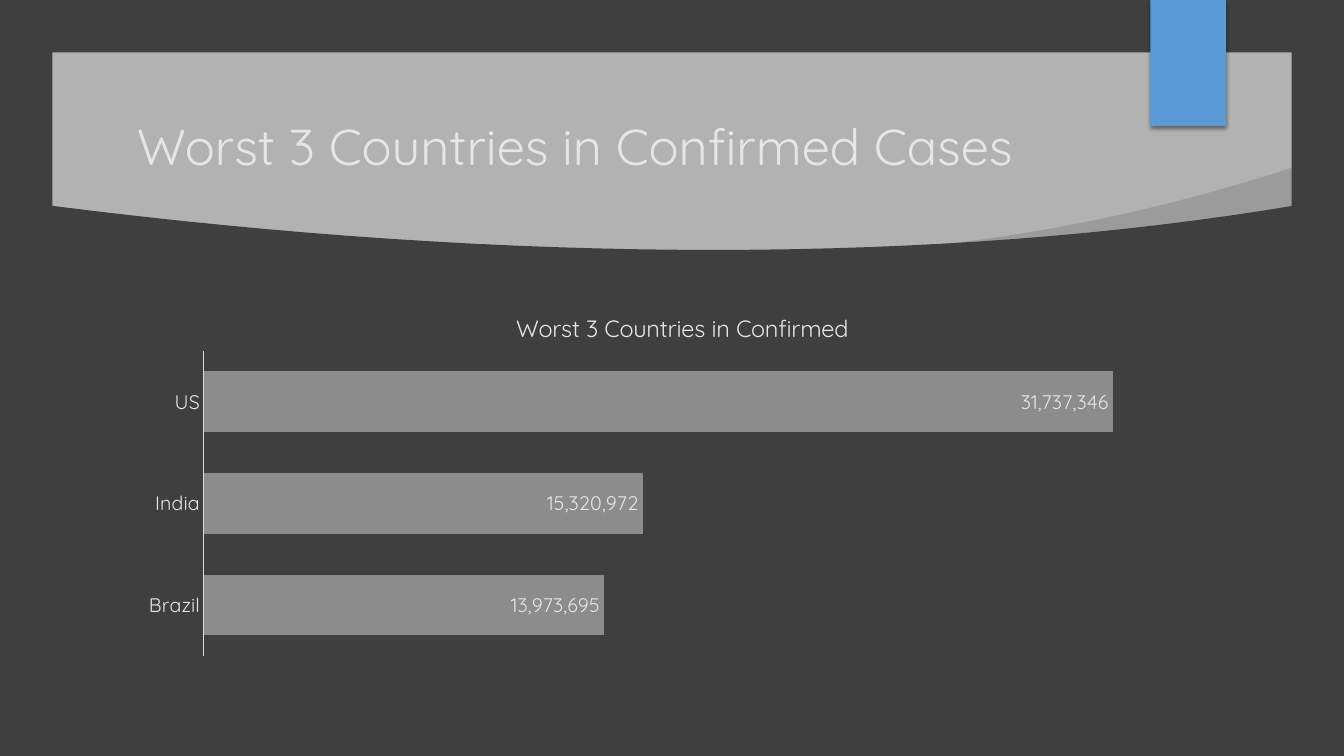
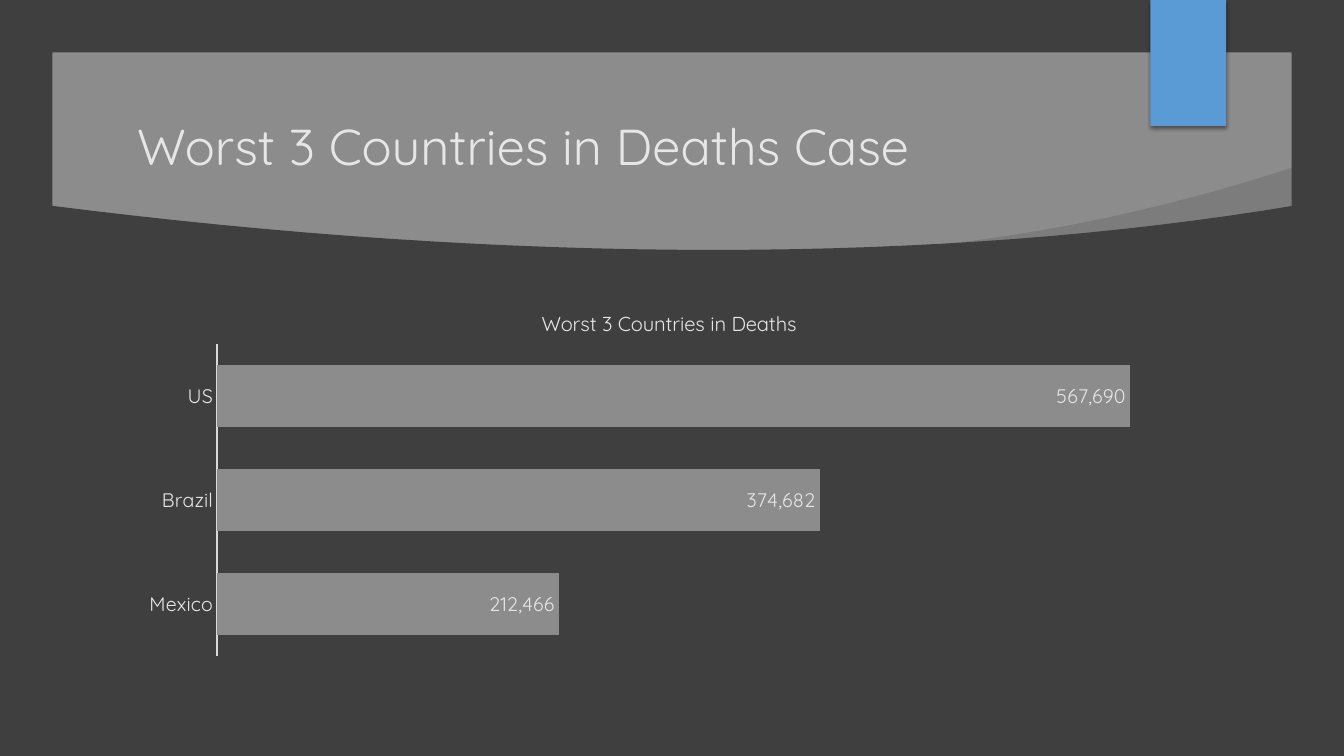
from dataclasses import dataclass

from lxml import etree
from pptx import Presentation
from pptx import util as u
from pptx.chart import data as chart_data
from pptx.dml import color
from pptx.enum import chart as chart_enum
from pptx.enum import shapes, text
from pptx.oxml import ns


@dataclass(frozen=True)
class Theme:
    font: str = "Quicksand"
    dark: str = "3F3F3F"
    accent: str = "5B9BD5"
    light: str = "E7E6E6"
    axis: str = "D9D9D9"
    bar: str = "8C8C8C"
    title_size: float = 36
    label_size: float = 14
    border: float = 37.4


@dataclass(frozen=True)
class CountrySlide:
    title: str
    band_color: str
    chart_title: str
    chart_title_size: float
    chart_title_at: tuple
    chart_width: float
    plot_box: tuple
    axis_maximum: int
    cases: dict


THEME = Theme()
SLIDE_SIZE = (960, 540)
CHART_LEFT, CHART_TOP, CHART_HEIGHT = 90.7, 205.2, 269.3

COUNTRY_SLIDES = [
    CountrySlide(
        "Worst 3 Countries in Confirmed Cases", "B2B2B2",
        "Worst 3 Countries in Confirmed", 16.8, (275, 14.4),
        786.2, (55, 45.5, 716, 218), 35000000,
        {"Brazil": 13973695, "India": 15320972, "US": 31737346},
    ),
    CountrySlide(
        "Worst 3 Countries in Deaths Case", "8C8C8C",
        "Worst 3 Countries in Deaths", 14.4, (293.6, 13),
        769, (64.3, 40.5, 689.3, 223), 600000,
        {"Mexico": 212466, "Brazil": 374682, "US": 567690},
    ),
]


def rgb(value):
    return color.RGBColor.from_string(value)


def points(*lengths):
    return [u.Pt(length) for length in lengths]


def add_element(parent, tag, **attributes):
    return etree.SubElement(
        parent, ns.qn(tag), {key: str(value) for key, value in attributes.items()}
    )


def paint(shape, fill, opacity=100):
    shape.shadow.inherit = False
    shape.fill.solid()
    shape.fill.fore_color.rgb = rgb(fill)
    shape.line.fill.background()
    if opacity < 100:
        fill_color = shape.element.find(".//" + ns.qn("a:srgbClr"))
        add_element(fill_color, "a:alpha", val=opacity * 1000)
    return shape


def set_font(font, size):
    font.name = THEME.font
    font.size = u.Pt(size)
    font.bold = False
    font.color.rgb = rgb(THEME.light)


def curve(start, first, second, end, steps=32):
    result = []
    for step in range(steps + 1):
        t = step / steps
        weights = ((1 - t) ** 3, 3 * t * (1 - t) ** 2, 3 * t * t * (1 - t), t ** 3)
        result.append(tuple(
            sum(weight * value for weight, value in zip(weights, values))
            for values in zip(start, first, second, end)
        ))
    return result


def add_outline(slide, corners, fill, opacity=100):
    start, *others = [tuple(points(*corner)) for corner in corners]
    builder = slide.shapes.build_freeform(*start, scale=1.0)
    builder.add_line_segments(others, close=True)
    return paint(builder.convert_to_shape(), fill, opacity)


def add_box(slide, kind, box, fill):
    return paint(slide.shapes.add_shape(kind, *points(*box)), fill)


def add_drop_shadow(shape):
    effects = shape.element.spPr.find(ns.qn("a:effectLst"))
    shadow = add_element(
        effects, "a:outerShdw", blurRad=u.Pt(3), dist=u.Pt(2),
        dir=90 * 60000, rotWithShape=0,
    )
    shadow_color = add_element(shadow, "a:srgbClr", val="000000")
    add_element(shadow_color, "a:alpha", val=45000)


def build_backdrop(layout, slide):
    for placeholder in list(layout.placeholders):
        if placeholder.placeholder_format.idx != 0:
            placeholder.element.getparent().remove(placeholder.element)
    sweep = add_outline(
        slide,
        curve((669.6, 175), (756, 165.6), (842.4, 146.2), (923.8, 119.5))
        + [(923.8, 154.1), (672.5, 180)],
        THEME.dark, 20,
    )
    body = add_outline(
        slide,
        curve((36, 146.9), (367.2, 189.1), (672.5, 189.1), (924.5, 146.9))
        + [(924.5, 504), (36, 504)],
        THEME.dark,
    )
    frame = add_box(slide, shapes.MSO_SHAPE.FRAME, (0, 0, *SLIDE_SIZE), THEME.dark)
    frame.adjustments[0] = THEME.border / SLIDE_SIZE[1]
    tab = add_box(slide, shapes.MSO_SHAPE.RECTANGLE, (821.8, 0, 54, 90), THEME.accent)
    add_drop_shadow(tab)
    for shape in (sweep, body, frame, tab):
        layout.shapes.element.append(shape.element)


def write_title(slide, content):
    title = slide.shapes.title
    title.left, title.top, title.width, title.height = points(90.7, 76.3, 694.8, 55.4)
    frame = title.text_frame
    frame.word_wrap = True
    frame.vertical_anchor = text.MSO_ANCHOR.MIDDLE
    paragraph = frame.paragraphs[0]
    paragraph.alignment = text.PP_ALIGN.LEFT
    run = paragraph.add_run()
    run.text = content
    set_font(run.font, THEME.title_size)


def place_in_chart(parent, index, fractions, inner=False):
    for old in parent.findall(ns.qn("c:layout")):
        parent.remove(old)
    layout = etree.Element(ns.qn("c:layout"))
    parent.insert(index, layout)
    manual = add_element(layout, "c:manualLayout")
    if inner:
        add_element(manual, "c:layoutTarget", val="inner")
    for name in ("xMode", "yMode"):
        add_element(manual, "c:" + name, val="edge")
    for name, fraction in zip("xywh", fractions):
        add_element(manual, "c:" + name, val=fraction)


def add_country_chart(slide, content):
    data = chart_data.CategoryChartData(number_format="#,##0")
    data.categories = list(content.cases)
    data.add_series("Series 1", list(content.cases.values()))
    chart = slide.shapes.add_chart(
        chart_enum.XL_CHART_TYPE.BAR_CLUSTERED,
        *points(CHART_LEFT, CHART_TOP, content.chart_width, CHART_HEIGHT), data,
    ).chart
    chart.has_legend = False
    set_font(chart.font, THEME.label_size)

    chart.has_title = True
    run = chart.chart_title.text_frame.paragraphs[0].add_run()
    run.text = content.chart_title
    set_font(run.font, content.chart_title_size)
    sizes = (content.chart_width, CHART_HEIGHT) * 2
    place_in_chart(
        chart.chart_title.element, 1,
        [length / size for length, size in zip(content.chart_title_at, sizes)],
    )
    place_in_chart(
        chart.element.find(".//" + ns.qn("c:plotArea")), 0,
        [length / size for length, size in zip(content.plot_box, sizes)], True,
    )

    category_axis = chart.category_axis
    category_axis.major_tick_mark = chart_enum.XL_TICK_MARK.NONE
    category_axis.format.line.color.rgb = rgb(THEME.axis)
    category_axis.format.line.width = u.Pt(0.75)
    set_font(category_axis.tick_labels.font, THEME.label_size)
    value_axis = chart.value_axis
    value_axis.visible = False
    value_axis.has_major_gridlines = False
    value_axis.minimum_scale = 0
    value_axis.maximum_scale = content.axis_maximum

    plot = chart.plots[0]
    plot.gap_width = 68
    plot.vary_by_categories = False
    bars = plot.series[0].format
    bars.fill.solid()
    bars.fill.fore_color.rgb = rgb(THEME.bar)
    plot.has_data_labels = True
    labels = plot.data_labels
    labels.show_value = True
    labels.number_format = "#,##0"
    labels.number_format_is_linked = False
    labels.position = chart_enum.XL_LABEL_POSITION.INSIDE_END
    set_font(labels.font, THEME.label_size)


def main():
    presentation = Presentation()
    presentation.slide_width, presentation.slide_height = points(*SLIDE_SIZE)
    layout = presentation.slide_layouts.get_by_name("Title Only")
    for index, content in enumerate(COUNTRY_SLIDES):
        slide = presentation.slides.add_slide(layout)
        if index == 0:
            build_backdrop(layout, slide)
        slide.background.fill.solid()
        slide.background.fill.fore_color.rgb = rgb(content.band_color)
        write_title(slide, content.title)
        add_country_chart(slide, content)
    presentation.save("out.pptx")


if __name__ == "__main__":
    main()
